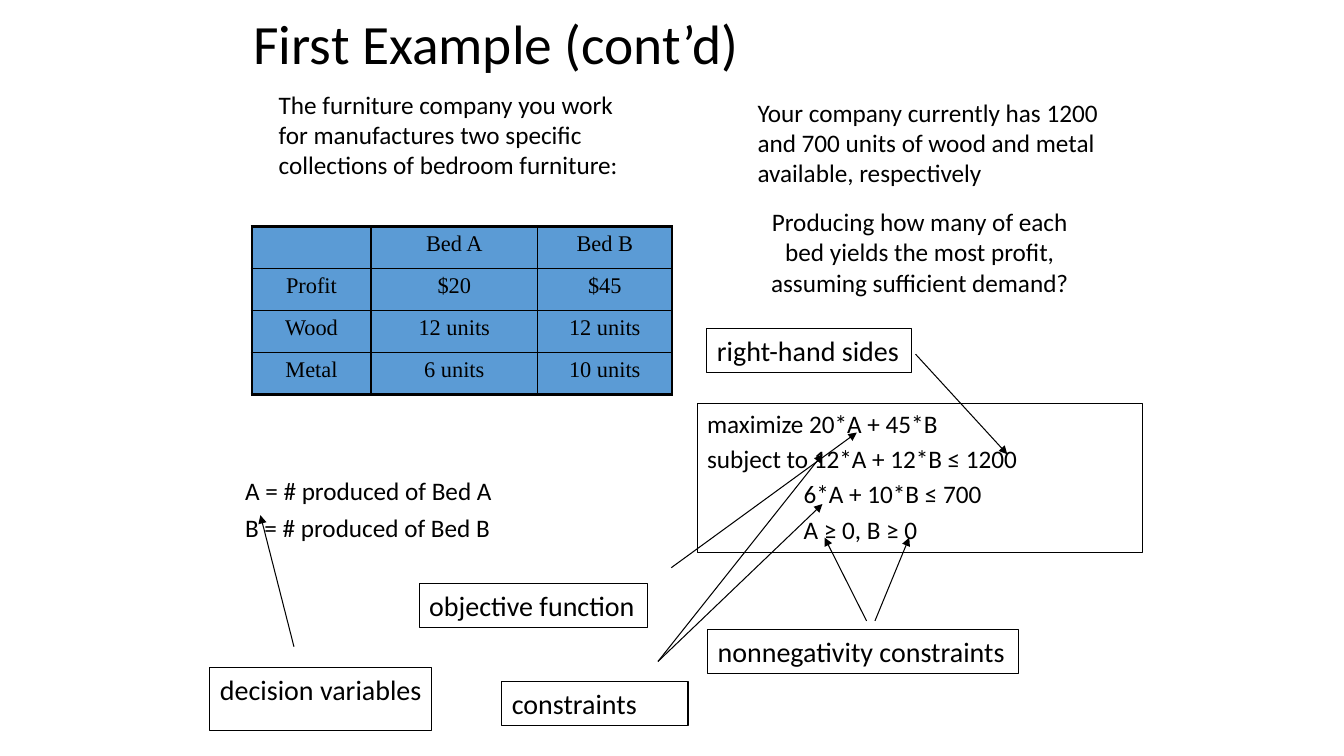
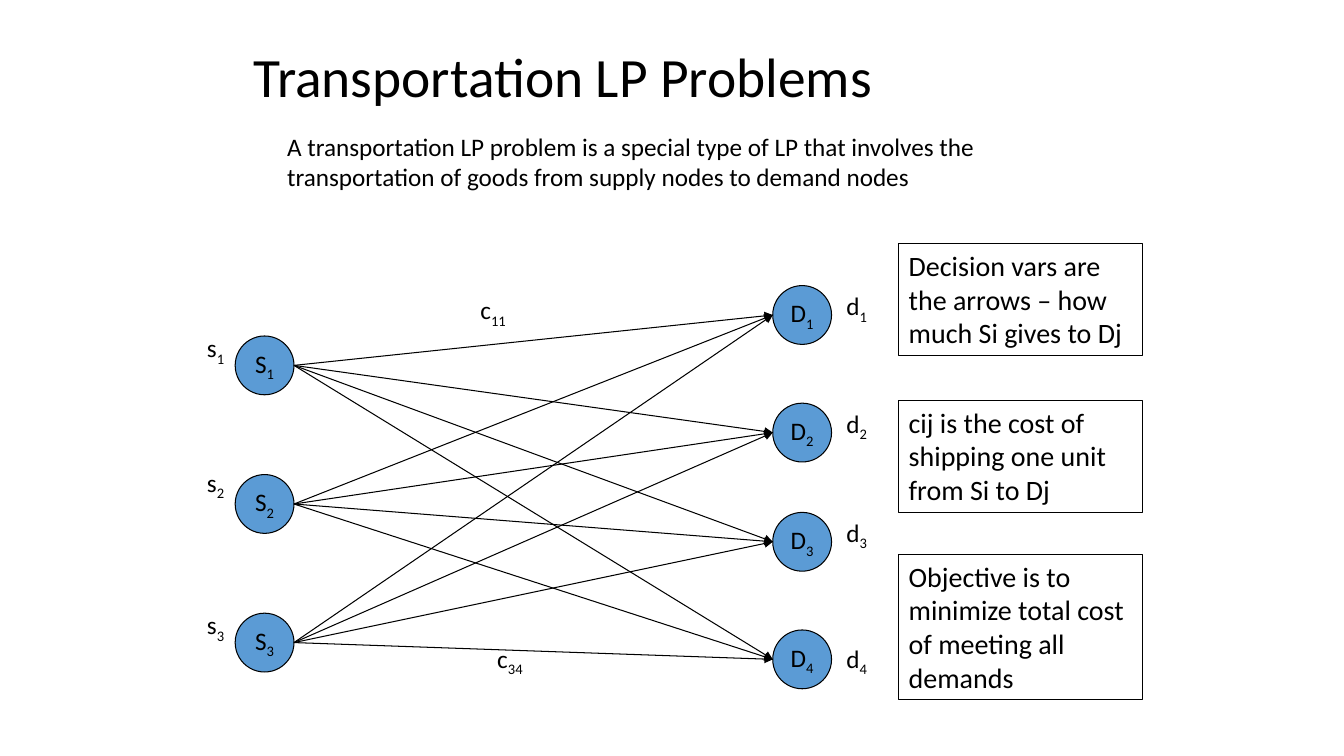
from itertools import product

from lxml.etree import SubElement
from pptx import Presentation
from pptx.dml.color import RGBColor
from pptx.enum.shapes import MSO_CONNECTOR, MSO_SHAPE
from pptx.enum.text import MSO_ANCHOR, PP_ALIGN
from pptx.oxml.ns import qn
from pptx.util import Pt

COLORS = {"ink": "000000", "accent": "5B9BD5", "paper": "FFFFFF"}
BODY_FONT = "Calibri"
TABLE_FONT = "Times New Roman"
TITLE_SIZE, BODY_SIZE, LABEL_SIZE, TABLE_SIZE = 39.6, 18, 20, 16
LINE_WIDTH = 0.75

EXAMPLE_TITLE = ("First Example (cont’d)", (174, 12, 612, 42))
EXAMPLE_TEXTS = [
    ("The furniture company you work for manufactures two specific collections of bedroom furniture:",
     (192, 60, 258, 72), PP_ALIGN.LEFT),
    ("Your company currently has 1200 and 700 units of wood and metal available, respectively",
     (534, 66, 262, 72), PP_ALIGN.LEFT),
    ("Producing how many of each bed yields the most profit, assuming sufficient demand?",
     (534, 144, 246, 72), PP_ALIGN.CENTER),
]
BEDS = [
    ("", "Bed A", "Bed B"),
    ("Profit", "$20", "$45"),
    ("Wood", "12 units", "12 units"),
    ("Metal", "6 units", "10 units"),
]
BED_COLUMNS = (85, 119, 96)
BED_ROW = 30
VARIABLES = ["A = # produced of Bed A", "B = # produced of Bed B"]
PROGRAM = ["maximize 20*A + 45*B", "subject to 12*A + 12*B ≤ 1200", "6*A + 10*B ≤ 700", "A ≥ 0, B ≥ 0"]
PROGRAM_INDENT = 69
CALLOUTS = [
    ("decision variables", (150, 476.5, 158.5, 45.5), [(210, 462, 186, 368)]),
    ("objective function", (299.5, 417, 163, 31.5), [(479.5, 405.5, 612, 309)]),
    ("constraints", (358.5, 486.5, 133, 31.5),
     [(470, 472.5, 587.5, 324.5), (470, 472.5, 587.5, 360)]),
    ("nonnegativity constraints", (505.5, 449.5, 222, 31.5),
     [(625, 443.5, 649.5, 384), (619, 443.5, 589, 384)]),
    ("right-hand sides", (505, 234.5, 146, 31.5), [(654, 253, 719.5, 324.5)]),
]

TRANSPORT_TITLE = ("Transportation LP Problems", (174, 30, 612, 54))
TRANSPORT_TEXT = (
    "A transportation LP problem is a special type of LP that involves the "
    "transportation of goods from supply nodes to demand nodes",
    (198, 90, 564, 51),
)
NODE_SIZE = 42
SUPPLY = {"name": "S", "left": 168, "tops": (240, 339, 438),
          "label": "s", "label_left": 140, "label_width": 28, "label_tops": (234, 330, 432)}
DEMAND = {"name": "D", "left": 552, "tops": (204, 288, 366, 450),
          "label": "d", "label_left": 597, "label_width": 30, "label_tops": (204, 288, 366, 456)}
COSTS = [("11", 335, 207), ("34", 347, 456)]
LABEL_HEIGHT = 29
NOTES = [
    ("Decision vars are the arrows – how much Si gives to Dj", 174, 80),
    ("cij is the cost of shipping one unit from Si to Dj", 286, 80),
    ("Objective is to minimize total cost of meeting all demands", 396, 104),
]


def color(name):
    return RGBColor.from_string(COLORS[name])


def style_paragraph(paragraph, size=BODY_SIZE, font=BODY_FONT, align=PP_ALIGN.LEFT):
    paragraph.alignment = align
    paragraph.font.size = Pt(size)
    paragraph.font.name = font
    paragraph.font.color.rgb = color("ink")


def outline(shape):
    shape.line.color.rgb = color("ink")
    shape.line.width = Pt(LINE_WIDTH)


def add_text(slide, lines, box, size=BODY_SIZE, align=PP_ALIGN.LEFT, gap=0, framed=False):
    shape = slide.shapes.add_textbox(*map(Pt, box))
    frame = shape.text_frame
    frame.word_wrap = True
    for index, line in enumerate(lines):
        paragraph = frame.paragraphs[0] if index == 0 else frame.add_paragraph()
        paragraph.text = line
        style_paragraph(paragraph, size, align=align)
        if index:
            paragraph.space_before = Pt(gap)
    if framed:
        outline(shape)
    return shape


def add_title(slide, text, box):
    frame = add_text(slide, [text], box, TITLE_SIZE).text_frame
    frame.vertical_anchor = MSO_ANCHOR.MIDDLE
    frame.paragraphs[0].line_spacing = 0.9


def add_arrow(slide, ends):
    arrow = slide.shapes.add_connector(MSO_CONNECTOR.STRAIGHT, *map(Pt, ends))
    outline(arrow)
    SubElement(arrow.line._get_or_add_ln(), qn("a:tailEnd"), type="triangle")
    SubElement(arrow._element.spPr, qn("a:effectLst"))


def write_symbol(shape, letter, subscript):
    frame = shape.text_frame
    frame.word_wrap = False
    paragraph = frame.paragraphs[0]
    style_paragraph(paragraph, align=PP_ALIGN.CENTER)
    for text in (letter, subscript):
        run = paragraph.add_run()
        run.text = text
    run.font._element.set("baseline", "-25000")


def add_symbol(slide, letter, subscript, left, top, width):
    box = map(Pt, (left, top, width, LABEL_HEIGHT))
    write_symbol(slide.shapes.add_textbox(*box), letter, subscript)


def add_nodes(slide, group):
    for index, (top, label_top) in enumerate(zip(group["tops"], group["label_tops"]), 1):
        box = map(Pt, (group["left"], top, NODE_SIZE, NODE_SIZE))
        node = slide.shapes.add_shape(MSO_SHAPE.OVAL, *box)
        node.shadow.inherit = False
        node.fill.solid()
        node.fill.fore_color.rgb = color("accent")
        outline(node)
        node.text_frame.vertical_anchor = MSO_ANCHOR.MIDDLE
        write_symbol(node, group["name"], str(index))
        add_symbol(slide, group["label"], str(index), group["label_left"], label_top, group["label_width"])


def set_borders(cell, widths):
    properties = cell._tc.get_or_add_tcPr()
    for position, (side, width) in enumerate(widths.items()):
        line = properties.makeelement(qn(f"a:{side}"), {"w": str(Pt(width))})
        fill = SubElement(line, qn("a:solidFill"))
        SubElement(fill, qn("a:srgbClr"), val=COLORS["ink"])
        properties.insert(position, line)


def add_bed_table(slide):
    rows, columns = len(BEDS), len(BED_COLUMNS)
    box = map(Pt, (180, 162, sum(BED_COLUMNS), BED_ROW * rows))
    table = slide.shapes.add_table(rows, columns, *box).table
    for column, width in zip(table.columns, BED_COLUMNS):
        column.width = Pt(width)
    for row, column in product(range(rows), range(columns)):
        cell = table.cell(row, column)
        cell.text = BEDS[row][column]
        style_paragraph(cell.text_frame.paragraphs[0], TABLE_SIZE, TABLE_FONT, PP_ALIGN.CENTER)
        cell.fill.solid()
        cell.fill.fore_color.rgb = color("accent")
        outer = {"lnL": column == 0, "lnR": column == columns - 1,
                 "lnT": row == 0, "lnB": row == rows - 1}
        set_borders(cell, {side: 2.25 if edge else 1 for side, edge in outer.items()})


def build_example(slide):
    add_title(slide, *EXAMPLE_TITLE)
    for text, box, align in EXAMPLE_TEXTS:
        add_text(slide, [text], box, align=align)
    add_bed_table(slide)
    add_text(slide, VARIABLES, (168, 336, 330, 56), gap=4.5)
    program = add_text(slide, PROGRAM, (498, 288, 318, 107), gap=3.6, framed=True)
    for paragraph in program.text_frame.paragraphs[2:]:
        paragraph._p.get_or_add_pPr().set("marL", str(Pt(PROGRAM_INDENT)))
    for text, box, arrows in CALLOUTS:
        callout = add_text(slide, [text], box, LABEL_SIZE, framed=True)
        callout.text_frame.margin_right = 0
        for ends in arrows:
            add_arrow(slide, ends)


def build_transport(slide):
    add_title(slide, *TRANSPORT_TITLE)
    text, box = TRANSPORT_TEXT
    add_text(slide, [text], box)
    for group in (SUPPLY, DEMAND):
        add_nodes(slide, group)
    radius = NODE_SIZE / 2
    for start, end in product(SUPPLY["tops"], DEMAND["tops"]):
        add_arrow(slide, (SUPPLY["left"] + NODE_SIZE, start + radius, DEMAND["left"], end + radius))
    for subscript, left, top in COSTS:
        add_symbol(slide, "c", subscript, left, top, 34.5)
    for text, top, height in NOTES:
        add_text(slide, [text], (642, top, 174, height), LABEL_SIZE, framed=True)


def main():
    presentation = Presentation()
    presentation.slide_width, presentation.slide_height = Pt(960), Pt(540)
    for build in (build_example, build_transport):
        slide = presentation.slides.add_slide(presentation.slide_layouts[6])
        slide.background.fill.solid()
        slide.background.fill.fore_color.rgb = color("paper")
        build(slide)
    presentation.save("out.pptx")


if __name__ == "__main__":
    main()
